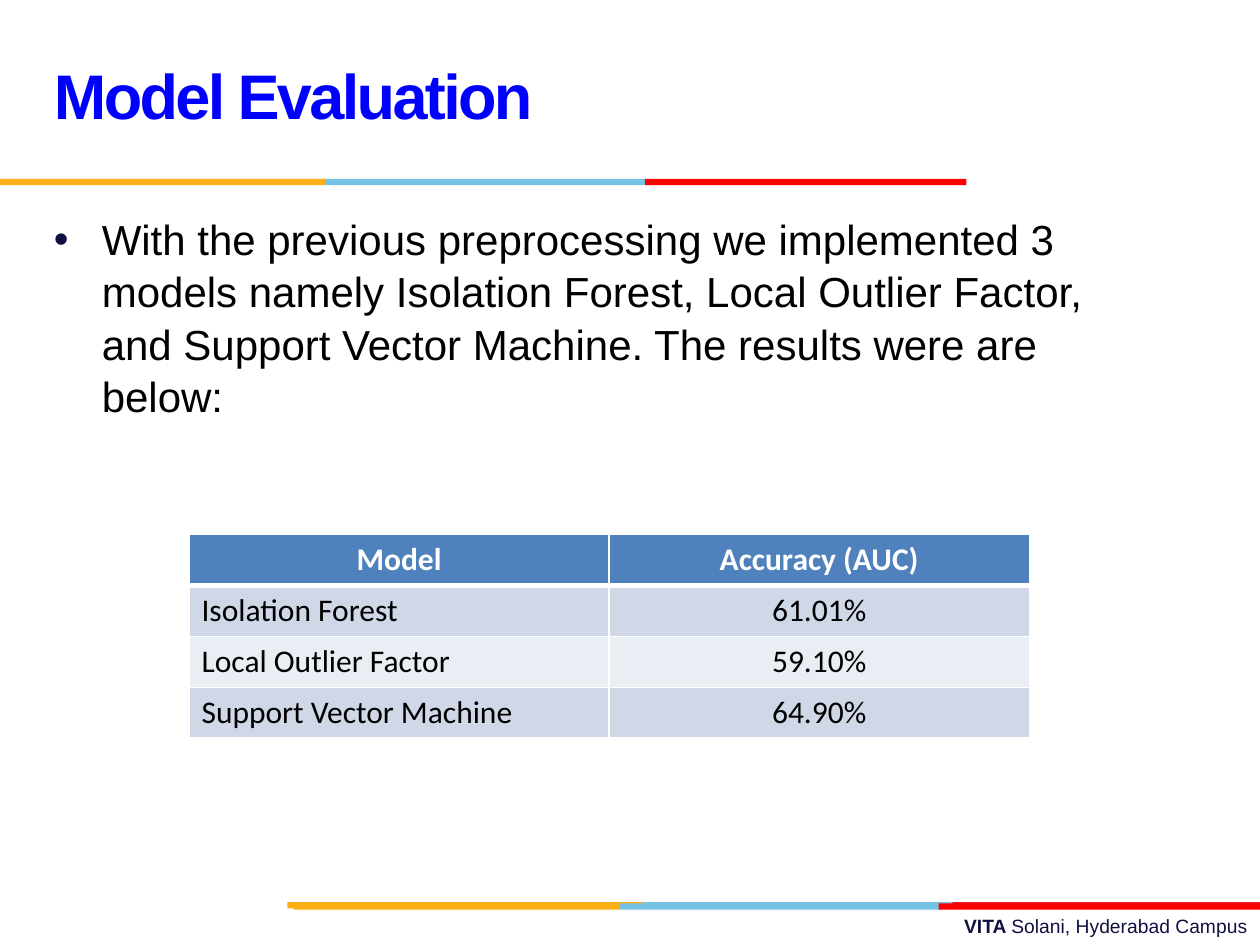
from lxml import etree
from pptx import Presentation
from pptx.dml.color import RGBColor
from pptx.enum.shapes import MSO_SHAPE
from pptx.enum.text import MSO_ANCHOR, PP_ALIGN
from pptx.oxml.ns import qn
from pptx.util import Inches, Pt

RECT = MSO_SHAPE.RECTANGLE
MIDDLE, TOP = MSO_ANCHOR.MIDDLE, MSO_ANCHOR.TOP
LEFT, CENTER, RIGHT = PP_ALIGN.LEFT, PP_ALIGN.CENTER, PP_ALIGN.RIGHT

# Content
TITLE = "Model Evaluation"
INTRO = ("With the previous preprocessing we implemented 3 models namely Isolation Forest, "
         "Local Outlier Factor, and Support Vector Machine. The results were are below:")
FOOTER = [("VITA ", True), ("Solani, Hyderabad Campus", False)]
RESULTS = [
    ("Model", "Accuracy (AUC)"),
    ("Isolation Forest", "61.01%"),
    ("Local Outlier Factor", "59.10%"),
    ("Support Vector Machine", "64.90%"),
]

COLORS = {
    "title": "0000FF", "text": "000000", "navy": "101141", "white": "FFFFFF",
    "gold": "FCB017", "sky": "76C2E5", "red": "FF0000", "crimson": "E31C24",
    "header": "4F81BD", "odd": "D0D8E8", "even": "E9EDF4",
}

# Stripes: top, then (color, left, right) for each band
BAND_HEIGHT = 0.05
STRIPES = [
    (7.16, [("sky", 5.06, 7.61), ("crimson", 7.56, 10), ("gold", 2.28, 5.1)]),
    (7.17, [("sky", 4.92, 7.47), ("gold", 2.33, 4.92), ("red", 7.45, 10)]),
    (1.42, [("sky", 2.58, 5.13), ("gold", 0, 2.58), ("red", 5.12, 7.67)]),
]
MARGIN = 0.33
TABLE_LEFT, TABLE_TOP, COLUMN, ROW = 1.5, 4.24, 3.335, 0.405


def rgb(name):
    return RGBColor.from_string(COLORS[name])


def add_run(paragraph, text, size, color, bold=False, font="Arial"):
    run = paragraph.add_run()
    run.text = text
    for key, value in {"size": Pt(size), "bold": bold, "name": font}.items():
        setattr(run.font, key, value)
    run.font.color.rgb = rgb(color)
    return run


def add_text(slide, left, top, width, height, anchor=TOP, align=LEFT):
    frame = slide.shapes.add_textbox(*map(Inches, (left, top, width, height))).text_frame
    frame.word_wrap = True
    frame.vertical_anchor = anchor
    frame.paragraphs[0].alignment = align
    return frame.paragraphs[0]


def add_bullet(paragraph, indent, color):
    props = paragraph._p.get_or_add_pPr()
    props.set("marL", str(Inches(indent)))
    props.set("indent", str(-Inches(indent)))
    bullet_color = etree.SubElement(props, qn("a:buClr"))
    etree.SubElement(bullet_color, qn("a:srgbClr"), val=COLORS[color])
    etree.SubElement(props, qn("a:buFont"), typeface="Arial")
    etree.SubElement(props, qn("a:buChar"), char="•")


def set_borders(cell, widths):
    props = cell._tc.get_or_add_tcPr()
    for index, (side, width) in enumerate(widths.items()):
        line = etree.Element(qn(f"a:{side}"), w=str(Pt(width)))
        fill = etree.SubElement(line, qn("a:solidFill"))
        etree.SubElement(fill, qn("a:srgbClr"), val=COLORS["white"])
        props.insert(index, line)


def add_results(slide):
    rows, columns = len(RESULTS), len(RESULTS[0])
    table = slide.shapes.add_table(rows, columns, *map(Inches, (
        TABLE_LEFT, TABLE_TOP, COLUMN * columns, ROW * rows))).table
    for column in table.columns:
        column.width = Inches(COLUMN)
    for r, record in enumerate(RESULTS):
        table.rows[r].height = Inches(ROW)
        header = r == 0
        for c, value in enumerate(record):
            cell = table.cell(r, c)
            cell.fill.solid()
            cell.fill.fore_color.rgb = rgb("header" if header else "odd" if r % 2 else "even")
            set_borders(cell, {"lnL": 1, "lnR": 1, "lnT": 3 if r == 1 else 1,
                               "lnB": 3 if header else 1})
            paragraph = cell.text_frame.paragraphs[0]
            paragraph.alignment = CENTER if header or c else LEFT
            add_run(paragraph, value, 18, "white" if header else "text", header, "Calibri")


def main():
    deck = Presentation()
    deck.slide_width, deck.slide_height = Inches(10), Inches(7.5)
    slide = deck.slides.add_slide(deck.slide_layouts[6])

    # Footer
    campus = add_text(slide, 3.58, 7.21, 6.42, 0.29, align=RIGHT)
    for text, bold in FOOTER:
        add_run(campus, text, 11, "navy", bold)

    # Colored stripes
    for top, bands in STRIPES:
        for color, left, right in bands:
            band = slide.shapes.add_shape(
                RECT, *map(Inches, (left, top, right - left, BAND_HEIGHT)))
            band.shadow.inherit = False
            band.fill.solid()
            band.fill.fore_color.rgb = rgb(color)
            band.line.fill.background()

    # Introduction
    intro = add_text(slide, MARGIN, 1.63, 9, 4.95)
    intro.space_before = Pt(3)
    intro.line_spacing = 1.04
    add_bullet(intro, 0.38, "navy")
    add_run(intro, INTRO, 24, "text")

    # Title
    title = add_text(slide, MARGIN, 0.17, 6.92, 1.25, MIDDLE)
    title.line_spacing = Pt(36)
    heading = add_run(title, TITLE, 36, "title", True)
    heading.font._element.set("spc", "-150")

    # Results table
    add_results(slide)
    deck.save("out.pptx")


if __name__ == "__main__":
    main()
